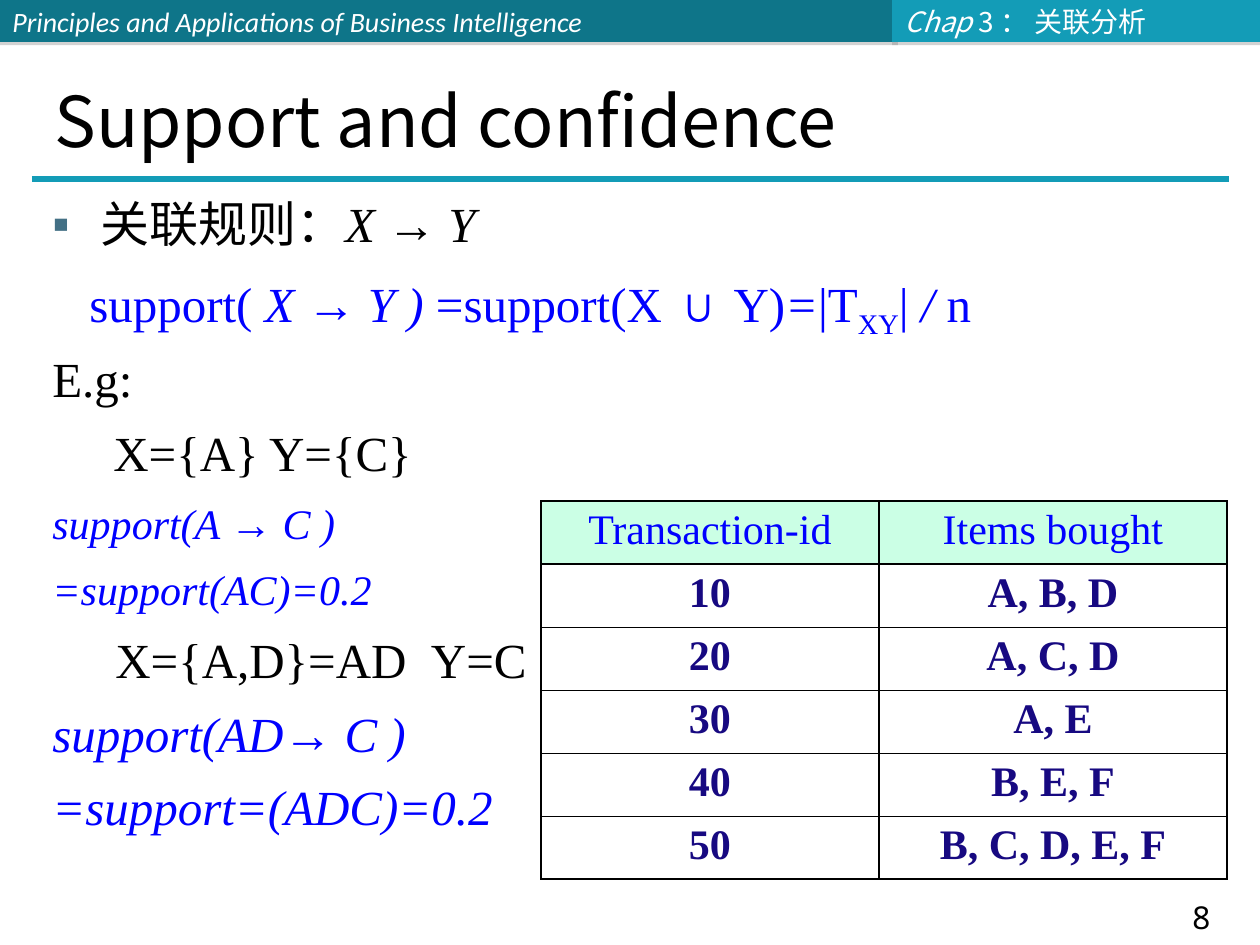
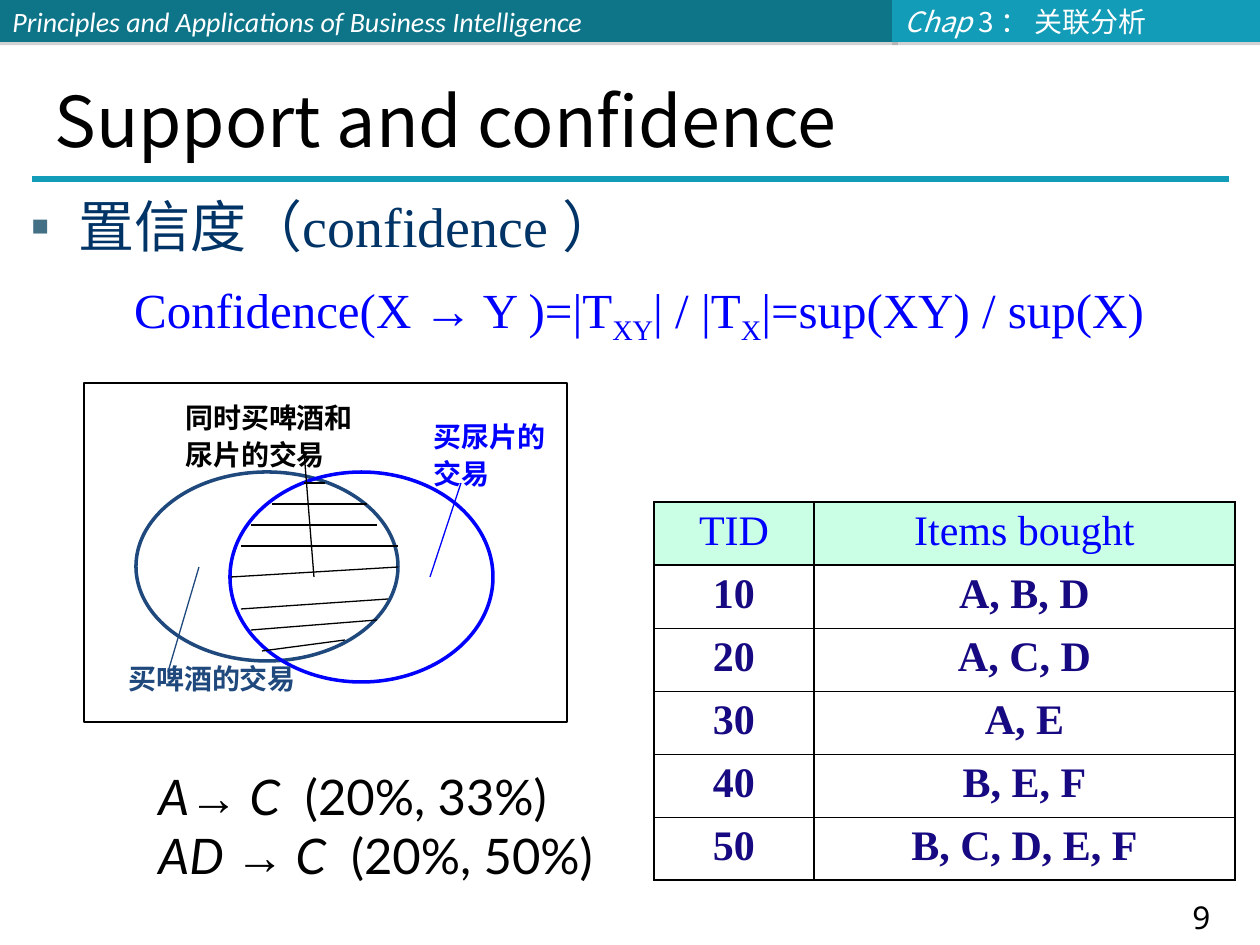
import pptx
import pptx.util
import pptx.dml.color
import pptx.enum.shapes
import pptx.enum.text
import pptx.oxml
import pptx.oxml.ns
from lxml import etree

RGB = pptx.dml.color.RGBColor
SHAPE = pptx.enum.shapes.MSO_SHAPE
ALIGN = pptx.enum.text.PP_ALIGN
ANCHOR = pptx.enum.text.MSO_ANCHOR
qn = pptx.oxml.ns.qn

# Colours and fonts
DARK_TEAL = RGB(0x0E, 0x75, 0x89)
TEAL = RGB(0x13, 0x9C, 0xB7)
BULLET = RGB(0x43, 0x70, 0x85)
SHADOW = RGB(0x80, 0x80, 0x80)
MINT = RGB(0x99, 0xFF, 0xCC)
BLACK = RGB(0, 0, 0)
WHITE = RGB(0xFF, 0xFF, 0xFF)
BLUE = RGB(0, 0, 0xFF)
NAVY = RGB(0x00, 0x33, 0x66)
INDIGO = RGB(0x17, 0x09, 0x81)
STEEL = RGB(0x1F, 0x49, 0x7D)
SERIF, SANS, CJK = "Times New Roman", "Lato", "Noto Sans CJK SC"

# Shared content: text, left, width, fill, font, runs
BANDS = [
    (0, 898, DARK_TEAL, "Calibri",
     [("Principles and Applications of Business Intelligence", "i")]),
    (892, 370, TEAL, CJK, [("Chap ", "i"), ("3 ： 关联分析", "")]),
]
TITLE = "Support and confidence"
TRANSACTIONS = [("10", "A, B, D"), ("20", "A, C, D"), ("30", "A, E"),
                ("40", "B, E, F"), ("50", "B, C, D, E, F")]

# Run marks: i italic, b bold, s subscript, g widened space
SUPPORT = [
    dict(size=28, bullet=True,
         runs=[("关联规则：", ""), ("X ", "i"), ("→", "i"), (" Y", "i")]),
    dict(size=28, color=BLUE, indent=37,
         runs=[("support( ", ""), ("X ", "i"), ("→", "i"), (" Y ) ", "i"),
               ("=support(X ∪ Y)", ""), ("=", "i"), ("|T", ""), ("XY", "s"),
               ("| ", ""), ("/ ", "i"), ("n", "")]),
    dict(size=28, runs=[("E.g:", "")]),
    dict(size=28, indent=61, runs=[("X={A} Y={C}", "")]),
    dict(size=24, color=BLUE,
         runs=[("support(A ", "i"), ("→", "i"), (" C )", "i")]),
    dict(size=24, color=BLUE, runs=[("=support(AC)=0.2", "i")]),
    dict(size=28, indent=63,
         runs=[("X={A,D}=AD", ""), (" ", "g"), ("Y=C", "")]),
    dict(size=28, color=BLUE,
         runs=[("support(AD", "i"), ("→", "i"), (" C )", "i")]),
    dict(size=28, color=BLUE, runs=[("=support=(ADC)=0.2", "i")]),
]
CONFIDENCE = [
    dict(size=32, color=NAVY, bullet=True,
         runs=[("置信度（confidence ）", "")]),
    dict(size=28, color=BLUE, align=ALIGN.CENTER,
         runs=[("Confidence(X ", ""), ("→", ""), (" Y )=|T", ""),
               ("XY", "s"), ("| / |T", ""), ("X", "s"),
               ("|=sup(XY) / sup(X)", "")]),
]
RULES = [
    dict(size=28, font=SANS,
         runs=[("A", "i"), ("→", ""), (" C", "i"), (" ", "g"),
               ("(20%, 33%)", "")]),
    dict(size=28, font=SANS,
         runs=[("AD ", "i"), ("→", ""), (" C", "i"), (" ", "g"),
               ("(20%, 50%)", "")]),
]

# Venn diagram: boxes are left, top, width, height; lines are x1, y1, x2, y2
VENN_FRAME = (84, 383, 483, 339)
VENN_SETS = [((136, 472, 262, 189), STEEL), ((230, 472, 263, 210), BLUE)]
VENN_LEADERS = [((199, 567, 168, 672), STEEL), ((430, 577, 461, 483), BLUE),
                ((314, 577, 304, 451), BLACK)]
VENN_HATCH = [(262, 651, 345, 640), (251, 630, 377, 620),
              (241, 609, 388, 599), (231, 577, 398, 567),
              (241, 546, 398, 546), (251, 525, 377, 525),
              (272, 504, 367, 504), (304, 483, 325, 483)]
VENN_LABELS = [("买尿片的交易", (421, 410, 146, 87), BLUE, True),
               ("同时买啤酒和尿片的交易", (173, 391, 205, 87), BLACK, True),
               ("买啤酒的交易", (116, 652, 193, 50), STEEL, False)]

PX_PER_INCH = 126


def px(n):
    return pptx.util.Emu(round(n * 914400 / PX_PER_INCH))


def box(*lengths):
    return [px(n) for n in lengths]


def sub(parent, tag, **attrs):
    return etree.SubElement(parent, qn(tag), attrs)


def add_run(p, text, marks, size, color, font):
    r = p.add_run()
    r.text = text
    f = r.font
    f.size = pptx.util.Pt(size)
    f.name = "Arial" if text == "→" else font
    f.color.rgb = color
    f.italic = "i" in marks
    f.bold = "b" in marks
    if "s" in marks:
        r._r.get_or_add_rPr().set("baseline", "-25000")
    if "g" in marks:
        r._r.get_or_add_rPr().set("spc", str(size * 25))


def fill_text(tf, paras, line=None, before=0, anchor=ANCHOR.TOP, wrap=True):
    tf.word_wrap = wrap
    tf.vertical_anchor = anchor
    tf.margin_left = tf.margin_right = pptx.util.Inches(0.1)
    tf.margin_top = tf.margin_bottom = pptx.util.Inches(0.05)
    for i, para in enumerate(paras):
        p = tf.add_paragraph() if i else tf.paragraphs[0]
        pPr = p._p.get_or_add_pPr()
        if para.get("bullet"):
            pPr.set("marL", str(px(48)))
            pPr.set("indent", str(-px(48)))
            sub(sub(pPr, "a:buClr"), "a:srgbClr", val=str(BULLET))
            sub(pPr, "a:buFont", typeface="Arial")
            sub(pPr, "a:buChar", char="▪")
        elif "indent" in para:
            pPr.set("marL", str(px(para["indent"])))
        p.alignment = para.get("align", ALIGN.LEFT)
        if line:
            p.line_spacing = line
        if i and before:
            p.space_before = pptx.util.Pt(before)
        for text, marks in para["runs"]:
            add_run(p, text, marks, para["size"], para.get("color", BLACK),
                    para.get("font", SERIF))


def add_text(s, place, paras, **options):
    sp = s.shapes.add_textbox(*box(*place))
    fill_text(sp.text_frame, paras, **options)


def add_line(s, ends, color, width):
    c = s.shapes.add_connector(pptx.enum.shapes.MSO_CONNECTOR.STRAIGHT,
                               *box(*ends))
    c.line.color.rgb = color
    c.line.width = pptx.util.Pt(width)
    sub(c._element.spPr, "a:effectLst")


def add_outline(s, kind, place, color, width):
    sp = s.shapes.add_shape(kind, *box(*place))
    sp.shadow.inherit = False
    sp.fill.background()
    sp.line.color.rgb = color
    sp.line.width = pptx.util.Pt(width)


def add_band(s, left, width, color, font, runs):
    sp = s.shapes.add_shape(SHAPE.RECTANGLE, *box(left, 0, width, 42))
    sp.shadow.inherit = False
    sp.fill.solid()
    sp.fill.fore_color.rgb = color
    sp.line.fill.background()
    shadow = sub(sp._element.spPr.find(qn("a:effectLst")), "a:outerShdw",
                 dist="22860", dir="5400000", rotWithShape="0")
    sub(sub(shadow, "a:srgbClr", val=str(SHADOW)), "a:alpha", val="35000")
    fill_text(sp.text_frame,
              [dict(size=16, color=WHITE, font=font, runs=runs)],
              anchor=ANCHOR.MIDDLE)


def add_base(prs, number):
    """Blank slide with bands, page number, rule and title."""
    s = prs.slides.add_slide(prs.slide_layouts[6])
    for band in BANDS:
        add_band(s, *band)
    add_text(s, (1138, 895, 127, 48),
             [dict(size=18, font="Noto Sans", align=ALIGN.CENTER,
                   runs=[(str(number), "")])], line=pptx.util.Pt(20))
    add_line(s, (32, 179, 1229, 179), TEAL, 3)
    add_text(s, (42, 42, 1176, 126),
             [dict(size=40, font=CJK, runs=[(TITLE, "")])],
             anchor=ANCHOR.BOTTOM)
    return s


def set_borders(cell, row, last):
    thick, thin = 1.08, 0.45
    widths = {"L": thick, "R": thick,
              "T": thick if row <= 1 else thin,
              "B": thick if row in (0, last) else thin}
    tcPr = cell._tc.get_or_add_tcPr()
    for i, (side, width) in enumerate(widths.items()):
        ln = etree.Element(qn("a:ln" + side), w=str(round(width * 12700)))
        sub(sub(ln, "a:solidFill"), "a:srgbClr", val=str(BLACK))
        tcPr.insert(i, ln)


def add_transactions(s, left, top, widths, header):
    rows = [header] + TRANSACTIONS
    row_h = 63
    table = s.shapes.add_table(
        len(rows), len(widths),
        *box(left, top, sum(widths), row_h * len(rows))).table
    table.first_row = table.horz_banding = False
    for column, width in zip(table.columns, widths):
        column.width = px(width)
    for r, row in enumerate(rows):
        table.rows[r].height = px(row_h)
        for c, text in enumerate(row):
            cell = table.cell(r, c)
            color, marks = (INDIGO, "b") if r else (BLUE, "")
            p = cell.text_frame.paragraphs[0]
            p.alignment = ALIGN.CENTER
            add_run(p, text, marks, 24, color, SERIF)
            if r:
                cell.fill.background()
            else:
                cell.fill.solid()
                cell.fill.fore_color.rgb = MINT
                mint = cell._tc.tcPr.find(".//" + qn("a:srgbClr"))
                sub(mint, "a:alpha", val="50000")
            set_borders(cell, r, len(rows) - 1)


def add_venn(s):
    add_outline(s, SHAPE.RECTANGLE, VENN_FRAME, BLACK, 0.75)
    for place, color in VENN_SETS:
        add_outline(s, SHAPE.OVAL, place, color, 2)
    for ends, color in VENN_LEADERS + [(h, BLACK) for h in VENN_HATCH]:
        add_line(s, ends, color, 0.75)
    for text, place, color, wrap in VENN_LABELS:
        add_text(s, place, [dict(size=16, color=color, runs=[(text, "b")])],
                 line=1.1, wrap=wrap)


def main():
    prs = pptx.Presentation()
    prs.slide_width, prs.slide_height = box(1260, 945)

    # Support
    s = add_base(prs, 8)
    add_transactions(s, 541, 501, (338, 348),
                     ("Transaction-id", "Items bought"))
    add_text(s, (40, 194, 1105, 694), SUPPORT, line=0.9, before=12)

    # Confidence
    s = add_base(prs, 9)
    add_transactions(s, 654, 502, (160, 421), ("TID", "Items bought"))
    add_text(s, (18, 185, 1242, 714), CONFIDENCE, before=12)
    add_text(s, (146, 760, 561, 130), RULES)
    add_venn(s)

    prs.save("out.pptx")


if __name__ == "__main__":
    main()
